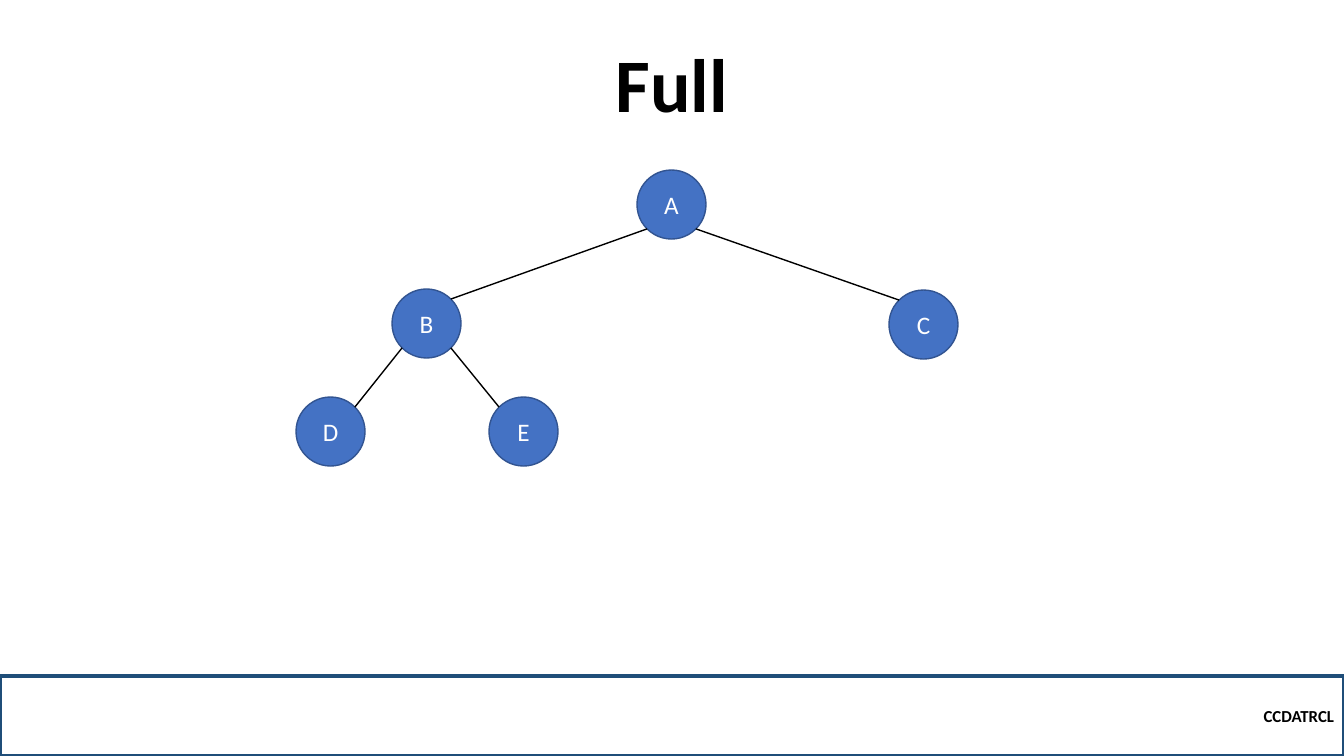
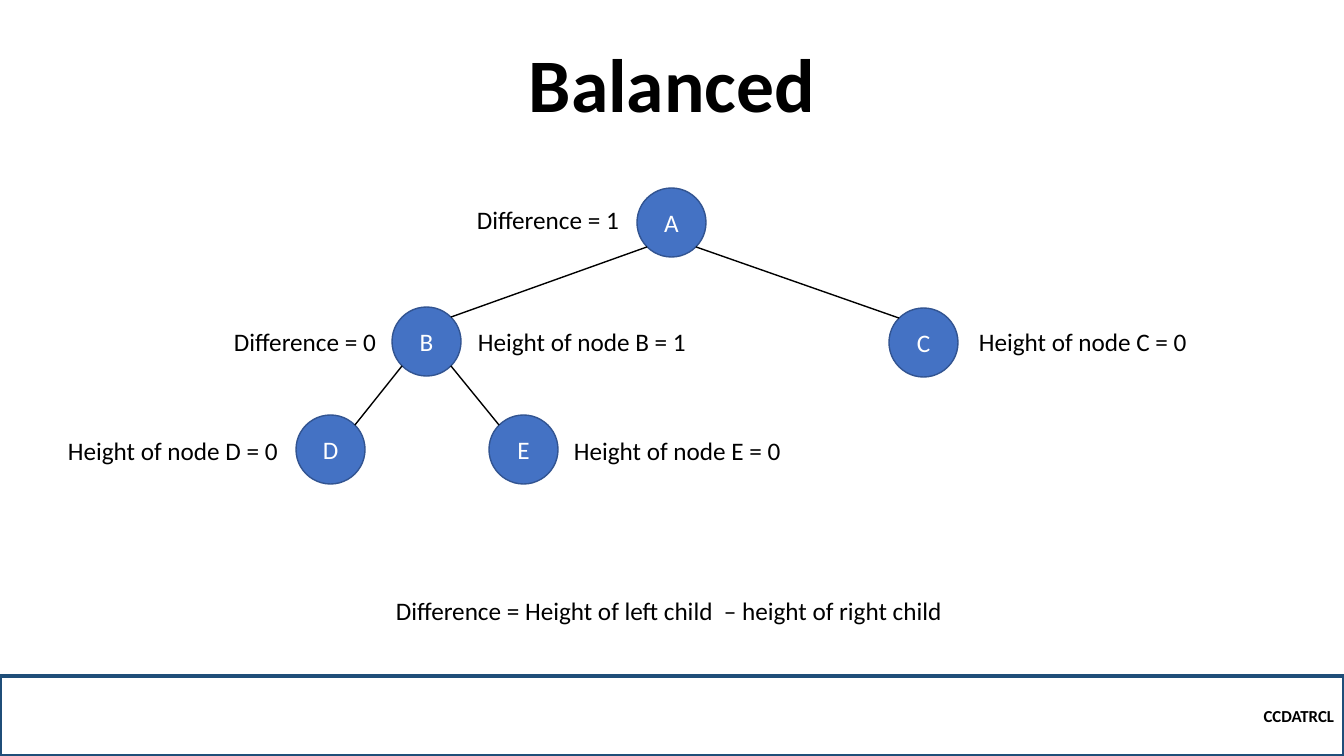
from dataclasses import dataclass
from math import copysign, sqrt

from lxml.etree import SubElement
from pptx import Presentation
from pptx.dml.color import RGBColor as RGB
from pptx.enum.shapes import MSO_CONNECTOR as Connector, MSO_SHAPE as Shape
from pptx.enum.text import MSO_ANCHOR as Anchor, MSO_AUTO_SIZE as AutoSize, PP_ALIGN as Align
from pptx.oxml.ns import qn
from pptx.util import Pt


@dataclass(frozen=True)
class Theme:
    """Colours, font, type sizes and line widths."""
    font: str = "Calibri"
    ink: RGB = RGB(0, 0, 0)
    paper: RGB = RGB(255, 255, 255)
    node_fill: RGB = RGB(0x44, 0x72, 0xC4)
    node_line: RGB = RGB(0x32, 0x54, 0x91)
    band_line: RGB = RGB(0x1F, 0x4E, 0x79)
    title_size: int = 54
    body_size: int = 18
    footer_size: int = 12
    thin: float = 1
    thick: float = 2.25


THEME = Theme()
WIDTH, HEIGHT = 1344, 756
DIAMETER = 69
LABEL_HEIGHT = 40
COURSE = "CCDATRCL"
NODES = {"A": (637, 170), "B": (392, 289), "C": (889, 290), "D": (296, 397), "E": (489, 397)}
EDGES = ("AB", "BD", "AC", "BE")
BALANCED_SHIFT = 18
LABELS = (
    ("Difference = Height of left child  – height of right child", 386, 590, 573),
    ("Height of node B = 1", 468, 321, 236),
    ("Height of node C = 0", 969, 321, 231),
    ("Difference = 1", 467, 199, 170),
    ("Difference = 0", 224, 321, 168),
    ("Height of node D = 0", 58, 430, 240),
    ("Height of node E = 0", 564, 430, 236),
)


def px(length):
    """Turn picture pixels into EMU."""
    return round(length * 914400 / 100.8)


def write(shape, text, size=THEME.body_size, color=THEME.ink, bold=False,
          align=Align.LEFT, anchor=Anchor.TOP, spacing=None):
    """Put one formatted paragraph into a shape."""
    frame = shape.text_frame
    frame.word_wrap = True
    frame.auto_size = AutoSize.NONE
    frame.vertical_anchor = anchor
    paragraph = frame.paragraphs[0]
    paragraph.alignment = align
    paragraph.line_spacing = spacing
    run = paragraph.add_run()
    run.text = text
    run.font.name, run.font.size, run.font.bold = THEME.font, Pt(size), bold
    run.font.color.rgb = color


class Deck:
    """Holds the presentation, its theme and the current slide."""

    def __init__(self, theme):
        """Start an empty wide presentation."""
        self.theme = theme
        self.show = Presentation()
        self.show.slide_width, self.show.slide_height = px(WIDTH), px(HEIGHT)

    def start(self, heading):
        """Add a slide with its title and footer band."""
        self.slide = self.show.slides.add_slide(self.show.slide_layouts[0])
        subtitle = self.slide.placeholders[1].element
        subtitle.getparent().remove(subtitle)
        title = self.slide.shapes.title
        title.left, title.top, title.width, title.height = map(px, (168, 54, 1008, 80))
        write(title, heading, size=self.theme.title_size, bold=True,
              align=Align.CENTER, anchor=Anchor.BOTTOM, spacing=0.9)
        band = self.outline(Shape.RECTANGLE, (0, 676, WIDTH, HEIGHT - 676),
                            self.theme.band_line, self.theme.thick)
        write(band, COURSE, size=self.theme.footer_size, bold=True,
              align=Align.RIGHT, anchor=Anchor.MIDDLE)

    def outline(self, kind, box, color, weight, fill=None):
        """Add a preset shape with a line and an optional fill."""
        shape = self.slide.shapes.add_shape(kind, *map(px, box))
        shape.shadow.inherit = False
        if fill is None:
            shape.fill.background()
        else:
            shape.fill.solid()
            shape.fill.fore_color.rgb = fill
        shape.line.color.rgb, shape.line.width = color, Pt(weight)
        return shape

    def node(self, name, left, top):
        """Add a tree node."""
        circle = self.outline(Shape.OVAL, (left, top, DIAMETER, DIAMETER),
                              self.theme.node_line, self.theme.thin, self.theme.node_fill)
        write(circle, name, color=self.theme.paper, align=Align.CENTER, anchor=Anchor.MIDDLE)

    def edge(self, parent, child):
        """Join the lower diagonal of a parent to the upper diagonal of its child."""
        radius = DIAMETER / 2
        reach = radius / sqrt(2)
        side = copysign(reach, child[0] - parent[0])
        ends = (parent[0] + radius + side, parent[1] + radius + reach,
                child[0] + radius - side, child[1] + radius - reach)
        branch = self.slide.shapes.add_connector(Connector.STRAIGHT, *map(px, ends))
        branch.line.color.rgb, branch.line.width = self.theme.ink, Pt(self.theme.thin)
        SubElement(branch.element.spPr, qn("a:effectLst"))

    def tree(self, shift=0):
        """Draw all nodes and edges, moved down by shift."""
        places = {name: (left, top + shift) for name, (left, top) in NODES.items()}
        for name, place in places.items():
            self.node(name, *place)
        for parent, child in EDGES:
            self.edge(places[parent], places[child])

    def label(self, text, left, top, width):
        """Add a line of plain text."""
        write(self.slide.shapes.add_textbox(*map(px, (left, top, width, LABEL_HEIGHT))), text)


deck = Deck(THEME)
deck.start("Full")
deck.tree()

deck.start("Balanced")
deck.tree(BALANCED_SHIFT)
for label in LABELS:
    deck.label(*label)

deck.show.save("out.pptx")
